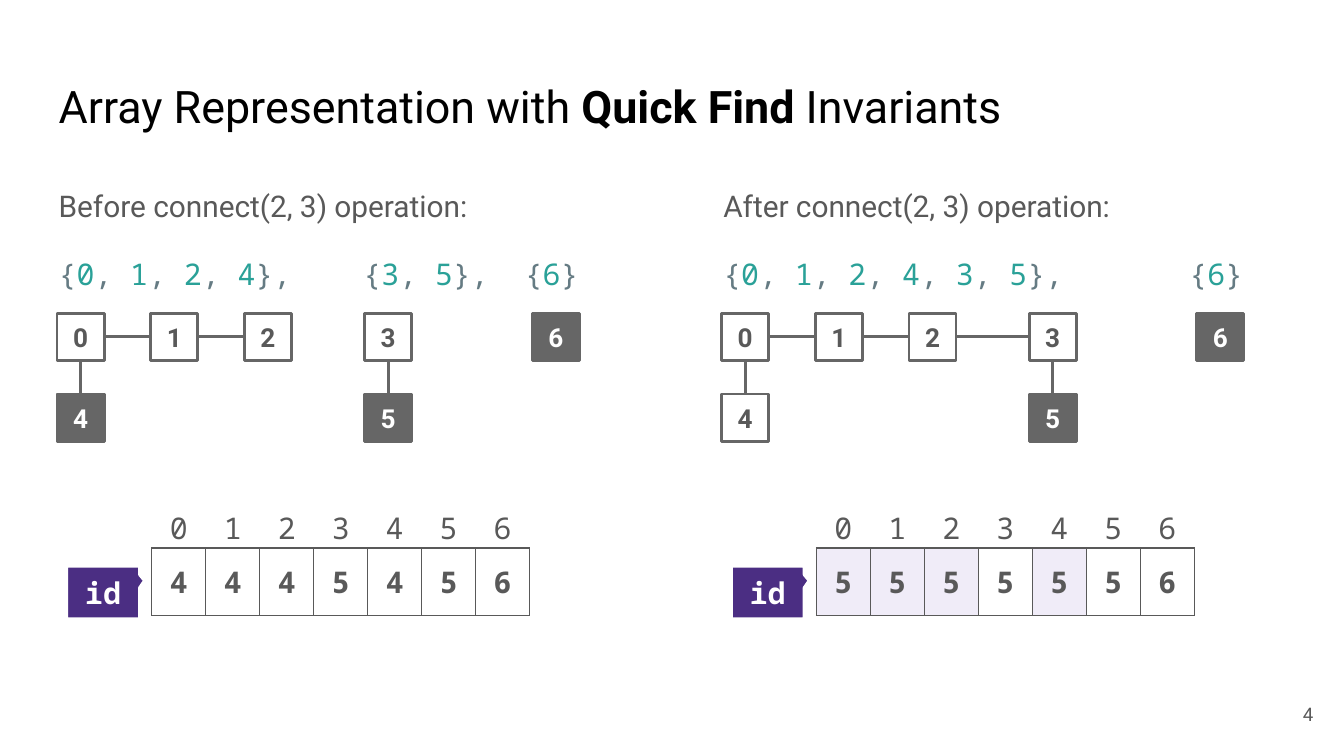
from itertools import groupby

from lxml.etree import SubElement
from pptx import Presentation
from pptx.dml.color import RGBColor
from pptx.enum.shapes import MSO_CONNECTOR, MSO_SHAPE
from pptx.enum.text import MSO_ANCHOR, MSO_AUTO_SIZE, PP_ALIGN
from pptx.oxml import parse_xml
from pptx.oxml.ns import nsdecls, qn
from pptx.util import Cm, Pt

COLORS = {
    "black": "000000", "white": "FFFFFF", "text": "595959", "line": "666666",
    "code": "657B83", "number": "2AA198", "label": "4B2E83", "changed": "F0ECF8",
}
SANS, MONO = "Roboto", "Noto Sans Mono"
NODE, COLUMN = 0.89, 1.02
TOP_ROW, LOW_ROW = 5.92, 7.45
NODE_PLACES = {
    0: (1.08, TOP_ROW), 1: (2.85, TOP_ROW), 2: (4.62, TOP_ROW), 3: (6.89, TOP_ROW),
    4: (1.08, LOW_ROW), 5: (6.89, LOW_ROW), 6: (10.06, TOP_ROW),
}
PANELS = [
    {"left": 0, "heading": "Before connect(2, 3) operation:",
     "sets": "{0, 1, 2, 4},\t{3, 5},\t{6}", "stops": [5.76, 8.81],
     "edges": [(0, 4), (0, 1), (1, 2), (3, 5)], "roots": {4, 5, 6},
     "ids": [4, 4, 4, 5, 4, 5, 6], "changed": set()},
    {"left": 12.56, "heading": "After connect(2, 3) operation:",
     "sets": "{0, 1, 2, 4, 3, 5},\t{6}", "stops": [8.81],
     "edges": [(0, 4), (0, 1), (1, 2), (2, 3), (3, 5)], "roots": {5, 6},
     "ids": [5, 5, 5, 5, 5, 5, 6], "changed": {0, 1, 2, 4}},
]


def rgb(name):
    return RGBColor.from_string(COLORS[name])


def apply(target, values):
    for name, value in values.items():
        setattr(target, name, value)


class SlideBuilder:
    margins = {f"margin_{side}": Cm(0.25) for side in ("left", "top", "right", "bottom")}

    def __init__(self, page):
        self.page = page

    def frame(self, shape, **values):
        defaults = {**self.margins, "word_wrap": True, "auto_size": MSO_AUTO_SIZE.NONE,
                    "vertical_anchor": MSO_ANCHOR.TOP}
        apply(shape.text_frame, {**defaults, **values})
        return shape.text_frame

    def span(self, para, text, size, color="text", font=SANS, bold=False):
        span = para.add_run()
        span.text = text
        apply(span.font, {"size": Pt(size), "name": font, "bold": bold})
        span.font.color.rgb = rgb(color)

    def tabs(self, para, stops, align):
        tab_list = SubElement(para._p.get_or_add_pPr(), qn("a:tabLst"))
        for stop in stops:
            SubElement(tab_list, qn("a:tab"), pos=str(Cm(stop)), algn=align)

    def title(self, parts):
        title = self.page.shapes.title
        apply(title, {"left": Cm(0.86), "top": Cm(1.24), "width": Cm(23.67), "height": Cm(1.6)})
        para = self.frame(title).paragraphs[0]
        para.alignment = PP_ALIGN.LEFT
        for text, bold in parts:
            self.span(para, text, 24, "black", bold=bold)

    def text(self, left, top, width, height, **values):
        box = self.page.shapes.add_textbox(Cm(left), Cm(top), Cm(width), Cm(height))
        return self.frame(box, **values)

    def sets(self, left, heading, sets, stops):
        frame = self.text(left, 3.2, 11.1, 2.29)
        para = frame.paragraphs[0]
        para.line_spacing = 1.15
        self.span(para, heading, 16)
        para = frame.add_paragraph()
        self.tabs(para, stops, "l")
        apply(para, {"line_spacing": 1.48, "space_before": Pt(8)})
        for is_number, letters in groupby(sets, str.isdigit):
            self.span(para, "".join(letters), 16, "number" if is_number else "code", MONO)

    def shape(self, kind, place, extent, fill, line, line_width, text, **style):
        shape = self.page.shapes.add_shape(kind, *map(Cm, (*place, *extent)))
        shape.shadow.inherit = False
        shape.fill.solid()
        shape.fill.fore_color.rgb = rgb(fill)
        shape.line.color.rgb = rgb(line)
        shape.line.width = Pt(line_width)
        para = self.frame(shape, vertical_anchor=MSO_ANCHOR.MIDDLE).paragraphs[0]
        para.alignment = PP_ALIGN.CENTER
        self.span(para, text, bold=True, **style)
        return shape

    def node(self, left, top, number, is_root):
        return self.shape(MSO_SHAPE.RECTANGLE, (left, top), (NODE, NODE),
                          "line" if is_root else "white", "line", 1.5, str(number),
                          size=14, color="white" if is_root else "text")

    def edge(self, start, end):
        line = self.page.shapes.add_connector(MSO_CONNECTOR.STRAIGHT, 0, 0, 0, 0)
        is_vertical = start.left == end.left
        line.begin_connect(start, 2 if is_vertical else 3)
        line.end_connect(end, 0 if is_vertical else 1)
        line.line.color.rgb = rgb("line")
        line.line.width = Pt(1.5)
        SubElement(line._element.spPr, qn("a:effectLst"))

    def array(self, left, values, changed):
        count = len(values)
        table = self.page.shapes.add_table(
            1, count, Cm(left), Cm(10.36), Cm(COLUMN * count), Cm(1.07)).table
        apply(table, {"first_row": False, "horz_banding": False})
        for index, value in enumerate(values):
            table.columns[index].width = Cm(COLUMN)
            cell = table.cell(0, index)
            apply(cell, {**self.margins, "margin_left": 0, "margin_right": 0})
            cell.fill.solid()
            cell.fill.fore_color.rgb = rgb("changed" if index in changed else "white")
            para = cell.text_frame.paragraphs[0]
            para.alignment = PP_ALIGN.CENTER
            self.span(para, str(value), 16, font=MONO, bold=True)
            self.borders(cell)

    def borders(self, cell):
        for position, side in enumerate("LRTB"):
            border = parse_xml(
                f'<a:ln{side} {nsdecls("a")} w="{Pt(0.75)}"><a:solidFill>'
                f'<a:srgbClr val="{COLORS["text"]}"/></a:solidFill></a:ln{side}>')
            cell._tc.get_or_add_tcPr().insert(position, border)

    def indices(self, left, count):
        frame = self.text(left, 9.6, COLUMN * count, 0.76, margin_left=0, margin_right=0,
                          vertical_anchor=MSO_ANCHOR.MIDDLE)
        para = frame.paragraphs[0]
        self.tabs(para, [COLUMN * (index + 0.5) for index in range(count)], "ctr")
        self.span(para, "".join(f"\t{index}" for index in range(count)), 16, font=MONO)

    def label(self, left, text):
        callout = self.shape(MSO_SHAPE.ROUNDED_RECTANGULAR_CALLOUT, (left, 10.69), (1.4, 1.02),
                             "label", "white", 2.25, text, size=16, color="white", font=MONO)
        for index, value in enumerate((0.57, -0.22, 0)):
            callout.adjustments[index] = value

    def page_number(self, number):
        frame = self.text(23.55, 12.95, 1.52, 1.09, vertical_anchor=MSO_ANCHOR.MIDDLE)
        frame.paragraphs[0].alignment = PP_ALIGN.RIGHT
        self.span(frame.paragraphs[0], number, 10)


def main():
    deck = Presentation()
    apply(deck, {"slide_width": Cm(25.4), "slide_height": Cm(14.29)})
    builder = SlideBuilder(deck.slides.add_slide(deck.slide_layouts[5]))
    builder.title([("Array Representation with ", False), ("Quick Find", True),
                   (" Invariants", False)])
    builder.page_number("4")

    for panel in PANELS:
        left = panel["left"]
        # Disjoint sets
        builder.sets(left + 0.86, panel["heading"], panel["sets"], panel["stops"])
        # Graph
        nodes = {number: builder.node(left + x, y, number, number in panel["roots"])
                 for number, (x, y) in NODE_PLACES.items()}
        for start, end in panel["edges"]:
            builder.edge(nodes[start], nodes[end])
        # Array of ids
        builder.array(left + 2.87, panel["ids"], panel["changed"])
        builder.indices(left + 2.87, len(panel["ids"]))
        builder.label(left + 1.25, "id")

    deck.save("out.pptx")


if __name__ == "__main__":
    main()
